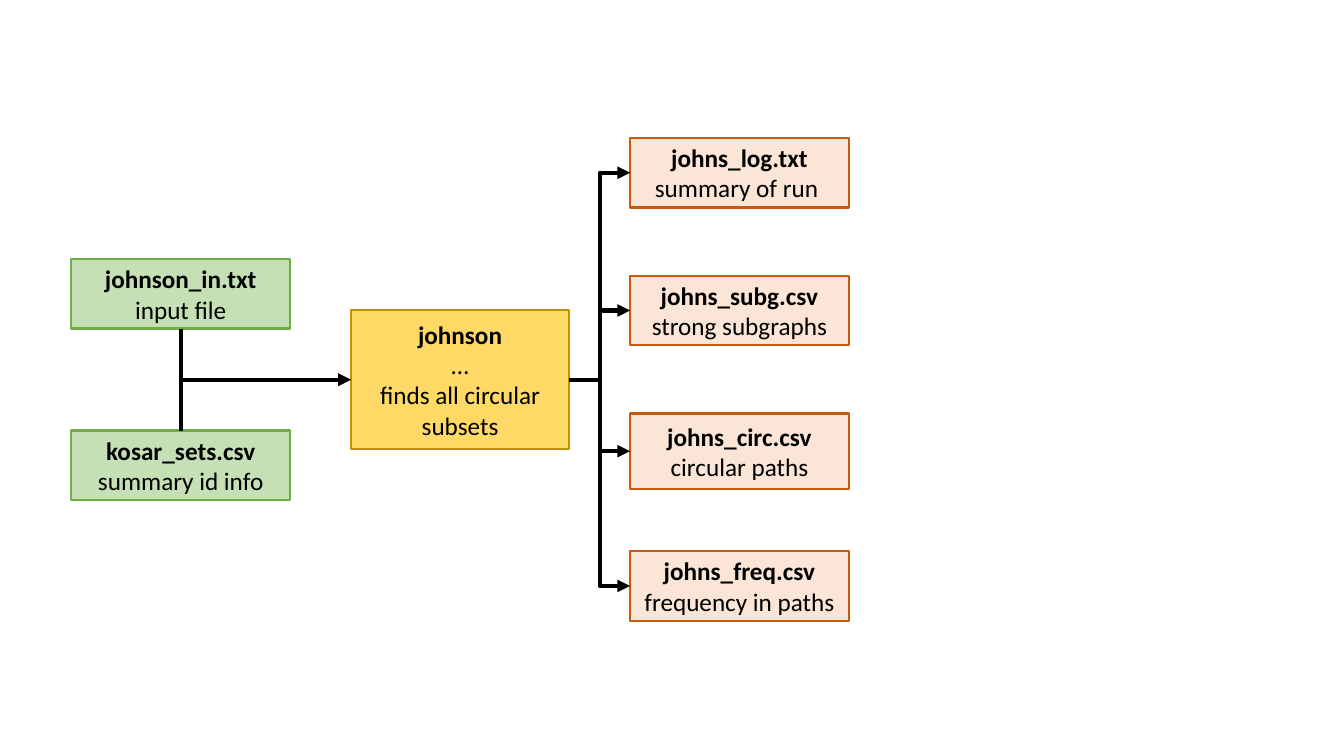
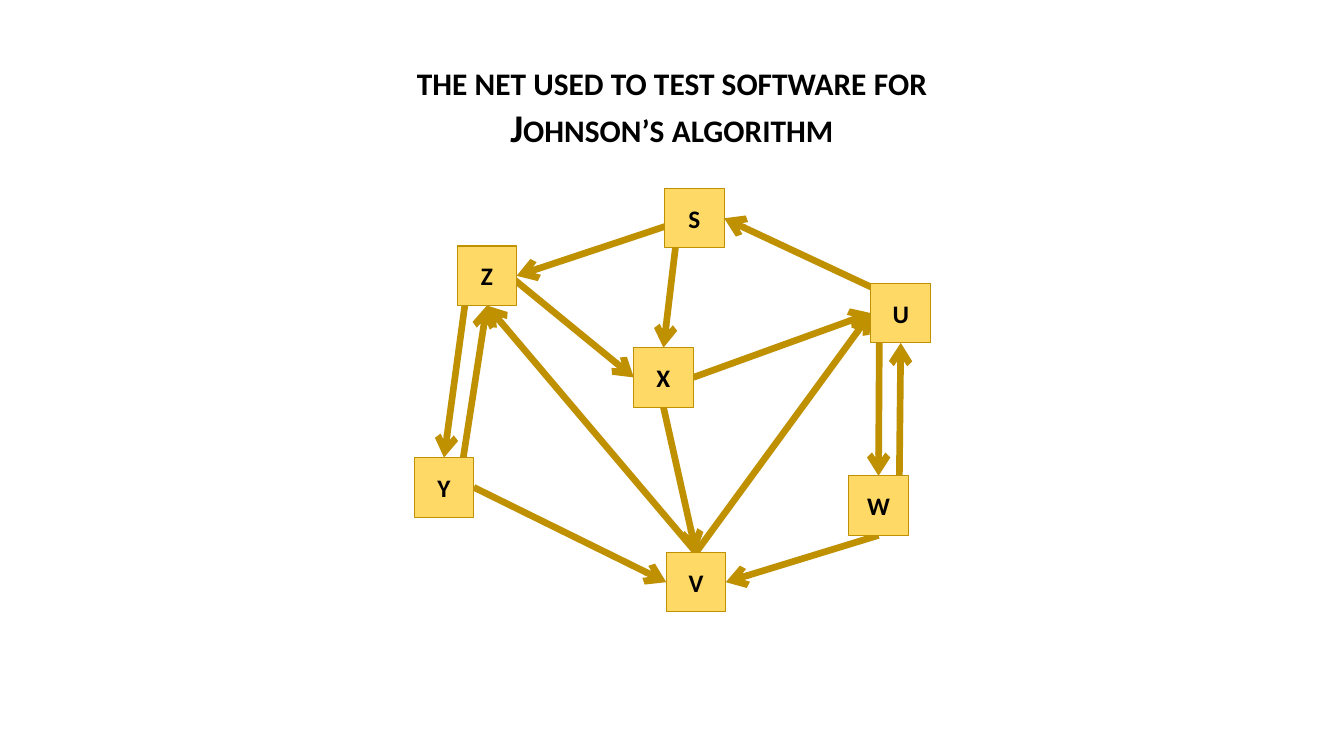
from lxml import etree
from pptx import Presentation
from pptx.dml.color import RGBColor
from pptx.enum.shapes import MSO_CONNECTOR, MSO_SHAPE
from pptx.enum.text import MSO_ANCHOR, MSO_AUTO_SIZE, PP_ALIGN
from pptx.oxml.ns import qn
from pptx.util import Cm, Pt

RECTANGLE = MSO_SHAPE.RECTANGLE
STRAIGHT, ELBOW = MSO_CONNECTOR.STRAIGHT, MSO_CONNECTOR.ELBOW
TOP, MIDDLE = MSO_ANCHOR.TOP, MSO_ANCHOR.MIDDLE
CENTER = PP_ALIGN.CENTER
FIXED_SIZE = MSO_AUTO_SIZE.NONE

FONT = "Calibri"
BLACK = "000000"
GOLD, DARK_GOLD = "FFD966", "BF9000"
GREEN, DARK_GREEN = "C5E0B4", "70AD47"
PEACH, DARK_ORANGE = "FBE5D6", "C55A11"

TITLE_ONLY, BLANK = 5, 6
SITE_TOP, SITE_LEFT, SITE_BOTTOM, SITE_RIGHT = range(4)
T, L, B, R = (0.5, 0), (0, 0.5), (0.5, 1), (1, 0.5)
SITES = {T: SITE_TOP, L: SITE_LEFT, B: SITE_BOTTOM, R: SITE_RIGHT}

BOX_WIDTH, BOX_HEIGHT = 5.51, 1.75
INPUTS = [("johnson_in.txt", "input file"), ("kosar_sets.csv", "summary id info")]
PROGRAM = ("johnson", "…", "finds all circular subsets")
OUTPUTS = [
    ("johns_log.txt", "summary of run ", BOX_HEIGHT),
    ("johns_subg.csv", "strong subgraphs", BOX_HEIGHT),
    ("johns_circ.csv", "circular paths", 1.9),
    ("johns_freq.csv", "frequency in paths", BOX_HEIGHT),
]

NODE_SIDE = 1.5
NODES = {
    "Z": (1.08, 1.45),
    "X": (5.53, 4.01),
    "Y": (0, 6.78),
    "S": (6.31, 0),
    "V": (6.35, 9.17),
    "W": (10.95, 7.24),
    "U": (11.51, 2.39),
}
EDGES = [
    ("Z", (0.71, 0.36), "X", L),
    ("Z", (0.14, 0.92), "Y", T),
    ("S", (0.24, 0.5), "X", T),
    ("S", (0.24, 0.56), "Z", R),
    ("X", B, "V", T),
    ("X", R, "U", L),
    ("U", (0.19, 0.15), "S", R),
    ("U", (0.14, 0.93), "W", T),
    ("W", (0.85, 0), "U", B),
    ("W", B, "V", R),
    ("V", T, "U", L),
    ("V", T, "Z", B),
    ("Y", R, "V", L),
    ("Y", (0.8, 0.15), "Z", B),
]


def color(value):
    """Turn a hex string into a colour."""
    return RGBColor.from_string(value)


def style_paragraph(para, size, bold):
    """Centre a paragraph and set its font."""
    para.alignment = CENTER
    para.font.name = FONT
    para.font.size = Pt(size)
    para.font.bold = bold
    para.font.color.rgb = color(BLACK)


def add_box(page, left, top, width, height, lines, fill, outline, weight=1.5):
    """Add a rectangle whose first line of text is bold."""
    box = page.shapes.add_shape(RECTANGLE, Cm(left), Cm(top), Cm(width), Cm(height))
    box.shadow.inherit = False
    box.fill.solid()
    box.fill.fore_color.rgb = color(fill)
    box.line.color.rgb = color(outline)
    box.line.width = Pt(weight)
    frame = box.text_frame
    frame.word_wrap = True
    frame.vertical_anchor = MIDDLE
    for index, line in enumerate(lines):
        para = frame.add_paragraph() if index else frame.paragraphs[0]
        para.text = line
        style_paragraph(para, 18, index == 0)
    return box


def add_arrow(page, kind, start, end, line_color, weight, head):
    """Add a connector with an arrowhead at its end."""
    arrow = page.shapes.add_connector(kind, *start, *end)
    arrow.line.color.rgb = color(line_color)
    arrow.line.width = Pt(weight)
    properties = arrow._element.spPr
    etree.SubElement(properties.find(qn("a:ln")), qn("a:tailEnd"), type=head)
    etree.SubElement(properties, qn("a:effectLst"))
    return arrow


def link_boxes(page, source, source_site, target):
    """Join a box to the left side of another with an elbow arrow."""
    arrow = add_arrow(page, ELBOW, (0, 0), (0, 0), BLACK, 3, "triangle")
    arrow.begin_connect(source, source_site)
    arrow.end_connect(target, SITE_LEFT)
    return arrow


def turn_single_corner(arrow):
    """Reshape an elbow arrow to run vertically, then to the right."""
    downward = arrow.end_y > arrow.begin_y
    left, top, width, height = arrow.left, arrow.top, arrow.width, arrow.height
    arrow.left = left + (width - height) // 2
    arrow.top = top + (height - width) // 2
    arrow.width, arrow.height = height, width
    properties = arrow._element.spPr
    frame = properties.find(qn("a:xfrm"))
    frame.set("rot", "16200000" if downward else "5400000")
    frame.set("flipH", "1")
    frame.set("flipV", "0" if downward else "1")
    properties.find(qn("a:prstGeom")).set("prst", "bentConnector2")


def add_file_flow(page, left, top):
    """Draw input files, the program and its output files."""
    program = add_box(page, left + 7.04, top + 4.34, BOX_WIDTH, 2 * BOX_HEIGHT,
                      PROGRAM, GOLD, DARK_GOLD)
    for row, lines in enumerate(INPUTS):
        source = add_box(page, left, top + 3.05 + 4.32 * row, BOX_WIDTH, BOX_HEIGHT,
                         lines, GREEN, DARK_GREEN)
        turn_single_corner(link_boxes(page, source, SITE_BOTTOM if row == 0 else SITE_TOP, program))
    for row, (name, purpose, height) in enumerate(OUTPUTS):
        target = add_box(page, left + 14.08, top + 3.47 * row, BOX_WIDTH, height,
                         (name, purpose), PEACH, DARK_ORANGE)
        link_boxes(page, program, SITE_RIGHT, target)


def add_net(page, left, top):
    """Draw the directed net with its arrows behind its nodes."""
    def locate(name, fraction):
        """Give the slide position of a point in a node."""
        x, y = NODES[name]
        return (Cm(left + x + fraction[0] * NODE_SIDE), Cm(top + y + fraction[1] * NODE_SIDE))

    arrows = [
        add_arrow(page, STRAIGHT, locate(source, begin), locate(target, end),
                  DARK_GOLD, 4.75, "arrow")
        for source, begin, target, end in EDGES
    ]
    boxes = {
        name: add_box(page, left + x, top + y, NODE_SIDE, NODE_SIDE, [name], GOLD, DARK_GOLD, 0.75)
        for name, (x, y) in NODES.items()
    }
    for arrow, (source, begin, target, end) in zip(arrows, EDGES):
        if begin in SITES:
            arrow.begin_connect(boxes[source], SITES[begin])
        arrow.end_connect(boxes[target], SITES[end])


def set_title(page, text, left, top, width, height):
    """Place the title and set it in bold small capitals."""
    title = page.shapes.title
    title.left, title.top, title.width, title.height = Cm(left), Cm(top), Cm(width), Cm(height)
    frame = title.text_frame
    frame.word_wrap = True
    frame.auto_size = FIXED_SIZE
    frame.vertical_anchor = TOP
    para = frame.paragraphs[0]
    span = para.add_run()
    span.text = text
    style_paragraph(para, 28, True)
    span._r.get_or_add_rPr().set("cap", "small")


def main():
    """Build and save the deck."""
    deck = Presentation()
    deck.slide_width, deck.slide_height = Cm(33.87), Cm(19.05)
    flow_page = deck.slides.add_slide(deck.slide_layouts[BLANK])
    add_file_flow(flow_page, 1.8, 3.48)
    net_page = deck.slides.add_slide(deck.slide_layouts[TITLE_ONLY])
    set_title(net_page, "the net used to test software for Johnson’s algorithm",
              9.25, 1.3, 15.37, 2.64)
    add_net(net_page, 10.44, 4.75)
    deck.save("out.pptx")


if __name__ == "__main__":
    main()
